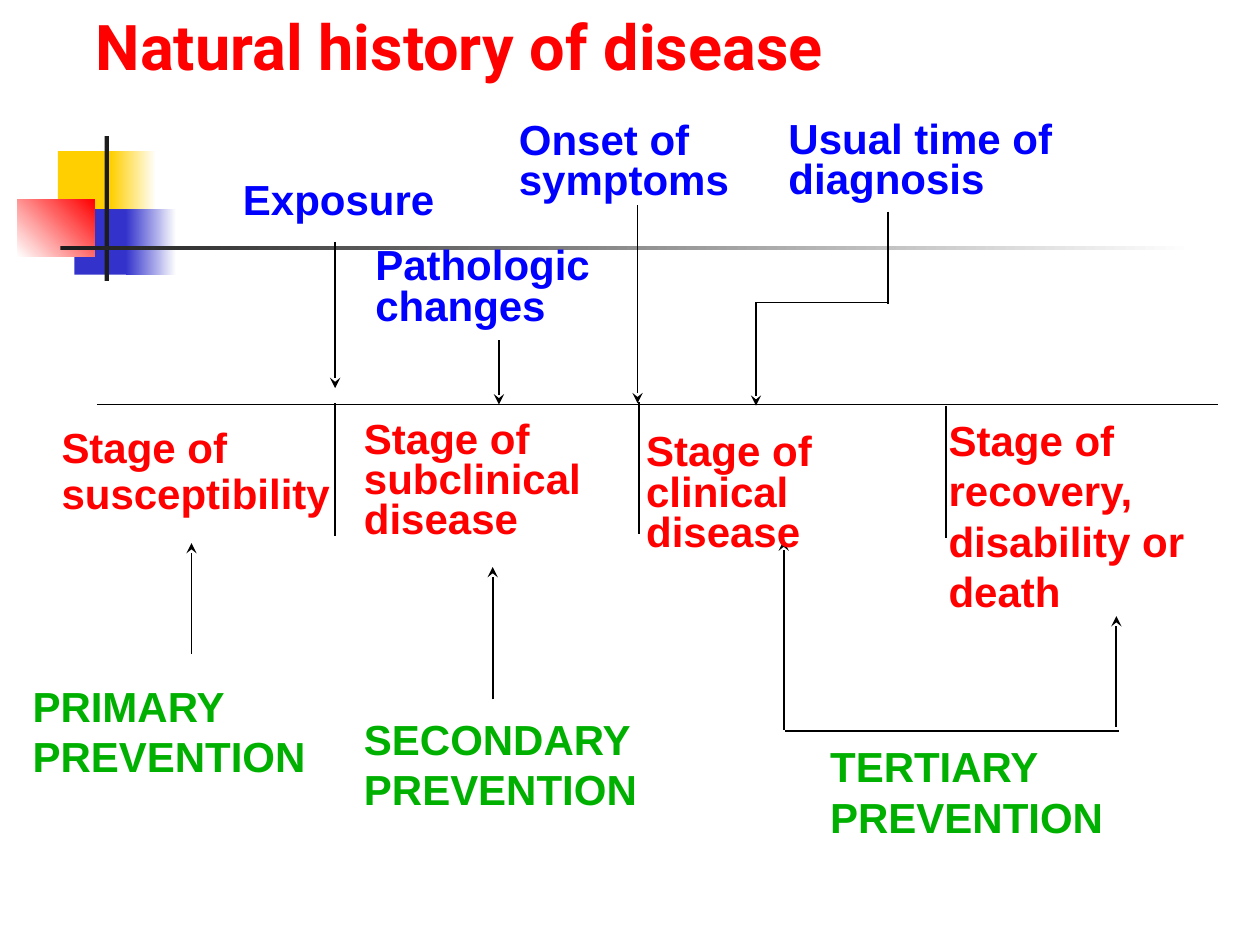
from dataclasses import dataclass
from typing import Optional

from pptx import Presentation
from pptx.dml.color import RGBColor
from pptx.enum.shapes import MSO_CONNECTOR, MSO_SHAPE
from pptx.enum.text import MSO_ANCHOR, MSO_AUTO_SIZE, PP_ALIGN
from pptx.oxml.ns import qn
from pptx.util import Inches, Pt
from lxml.etree import SubElement

RED = RGBColor(0xFF, 0x00, 0x00)
BLUE = RGBColor(0x00, 0x00, 0xFF)
GREEN = RGBColor(0x00, 0xB0, 0x00)
BLACK = RGBColor(0x00, 0x00, 0x00)
WHITE = RGBColor(0xFF, 0xFF, 0xFF)
YELLOW = RGBColor(0xFF, 0xCF, 0x01)
INDIGO = RGBColor(0x33, 0x33, 0xCC)
CHARCOAL = RGBColor(0x1C, 0x1C, 0x1C)

# The slide is a grid of 100 columns by 75 rows
COLUMNS, ROWS = 100, 75
TIMELINE_ROW = 32.1
TICK_ROWS = 10.5

prs = Presentation()
prs.slide_width, prs.slide_height = Inches(10), Inches(7.5)
slide = prs.slides.add_slide(prs.slide_layouts[5])


def col(columns: float) -> int:
    return round(prs.slide_width * columns / COLUMNS)


def row(rows: float) -> int:
    return round(prs.slide_height * rows / ROWS)


@dataclass
class Block:
    left: float
    top: float
    width: float
    height: float
    color: RGBColor
    fade_to: Optional[RGBColor] = None
    angle: float = 0


@dataclass
class Label:
    left: float
    top: float
    width: float
    height: float
    color: RGBColor
    paragraphs: tuple[str, ...]
    line_spacing: Optional[float] = None


@dataclass
class Line:
    x1: float
    y1: float
    x2: float
    y2: float
    arrow: bool = False


def draw_block(block: Block) -> None:
    shape = slide.shapes.add_shape(
        MSO_SHAPE.RECTANGLE, col(block.left), row(block.top),
        col(block.width), row(block.height))
    shape.shadow.inherit = False
    shape.line.fill.background()
    if block.fade_to is None:
        shape.fill.solid()
        shape.fill.fore_color.rgb = block.color
        return
    shape.fill.gradient()
    shape.fill.gradient_angle = block.angle
    for stop, color in zip(shape.fill.gradient_stops, (block.color, block.fade_to)):
        stop.color.rgb = color


def draw_line(line: Line) -> None:
    connector = slide.shapes.add_connector(
        MSO_CONNECTOR.STRAIGHT, col(line.x1), row(line.y1), col(line.x2), row(line.y2))
    connector.line.width = Pt(1)
    connector.line.color.rgb = BLACK
    if line.arrow:
        SubElement(connector.line._get_or_add_ln(), qn("a:tailEnd"), type="stealth")
    SubElement(connector._element.spPr, qn("a:effectLst"))


def draw_label(label: Label) -> None:
    box = slide.shapes.add_textbox(
        col(label.left), row(label.top), col(label.width), row(label.height))
    frame = box.text_frame
    frame.word_wrap = True
    frame.auto_size = MSO_AUTO_SIZE.SHAPE_TO_FIT_TEXT
    for index, text in enumerate(label.paragraphs):
        paragraph = frame.paragraphs[0] if index == 0 else frame.add_paragraph()
        paragraph.line_spacing = label.line_spacing
        # Space before is half a line
        space = SubElement(paragraph._p.get_or_add_pPr(), qn("a:spcBef"))
        SubElement(space, qn("a:spcPct"), val="50000")
        run = paragraph.add_run()
        run.text = text
        run.font.name, run.font.size, run.font.bold = "Arial", Pt(24), True
        run.font.color.rgb = label.color


def write_title(text: str) -> None:
    title = slide.shapes.title
    title.left, title.top, title.width, title.height = col(6.6), row(0.8), col(85), row(5.8)
    frame = title.text_frame
    frame.auto_size = MSO_AUTO_SIZE.NONE
    frame.vertical_anchor = MSO_ANCHOR.BOTTOM
    frame.margin_top = frame.margin_bottom = 0
    paragraph = frame.paragraphs[0]
    paragraph.alignment = PP_ALIGN.LEFT
    run = paragraph.add_run()
    run.text = text
    run.font.name, run.font.size, run.font.bold = "Roboto", Pt(36), True
    run.font.color.rgb = RED


# Corner ornament and fading rule
ornament = [
    Block(4.6, 12, 4.8, 5.2, YELLOW),
    Block(8.8, 12, 3.6, 5.2, YELLOW, WHITE),
    Block(5.9, 16.6, 4.6, 5.2, INDIGO),
    Block(10, 16.6, 4, 5.2, INDIGO, WHITE),
    Block(1.4, 15.8, 6.1, 4.6, WHITE, RED, 45),
    Block(8.3, 10.8, 0.35, 11.5, CHARCOAL),
    Block(4.8, 19.5, 90, 0.35, CHARCOAL, WHITE),
]

# Timeline with a tick between neighbouring stages
timeline = [Line(7.7, TIMELINE_ROW, 96.7, TIMELINE_ROW)] + [
    Line(x, y, x, y + TICK_ROWS) for x, y in ((26.6, 32), (50.7, 31.9), (75.1, 32.2))]

# Events point down to the timeline
event_lines = [
    Line(26.6, 19.2, 26.6, 30.8, arrow=True),
    Line(39.6, 27, 39.6, TIMELINE_ROW, arrow=True),
    Line(50.6, 16.3, 50.6, 32, arrow=True),
    Line(70.5, 16.8, 70.5, 24.1),
    Line(70.5, 24, 60.1, 24),
    Line(60, 24, 60, 32.2, arrow=True),
]

# Prevention levels point up to the stages
prevention_lines = [
    Line(15.2, 51.9, 15.2, 43.1, arrow=True),
    Line(39.1, 55.5, 39.1, 45, arrow=True),
    Line(62.2, 57.9, 62.2, 42.9, arrow=True),
    Line(62.3, 58, 88.8, 58),
    Line(88.6, 57.7, 88.6, 48.9, arrow=True),
]

stages = [
    Label(3.9, 34.7, 23.4, 7, RED, ("Stage of", "susceptibility"), 0.5),
    Label(27.9, 33, 22.1, 10.6, RED, ("Stage of subclinical disease",), 0.8),
    Label(50.3, 34, 24, 10.6, RED, ("Stage of clinical disease",), 0.8),
    Label(74.3, 32.4, 24.9, 17, RED, ("Stage of recovery, disability or death",)),
]
preventions = [
    Label(1.6, 53.5, 28.1, 9, GREEN, ("PRIMARY PREVENTION",)),
    Label(27.9, 56.1, 25.9, 9, GREEN, ("SECONDARY PREVENTION",)),
    Label(64.9, 58.3, 26.8, 9, GREEN, ("TERTIARY PREVENTION",)),
]
events = [
    Label(18.3, 13.3, 18.8, 5, BLUE, ("Exposure",)),
    Label(28.8, 20.5, 21.5, 6.2, BLUE, ("Pathologic", "changes"), 0.4),
    Label(40.2, 9.3, 19.6, 7.4, BLUE, ("Onset of symptoms",), 0.8),
    Label(61.6, 9.2, 23.4, 7.4, BLUE, ("Usual time of diagnosis",), 0.8),
]

write_title("Natural history of disease")
for part in ornament:
    draw_block(part)
for stroke in timeline + event_lines + prevention_lines:
    draw_line(stroke)
for caption in stages + preventions + events:
    draw_label(caption)

prs.save("out.pptx")
